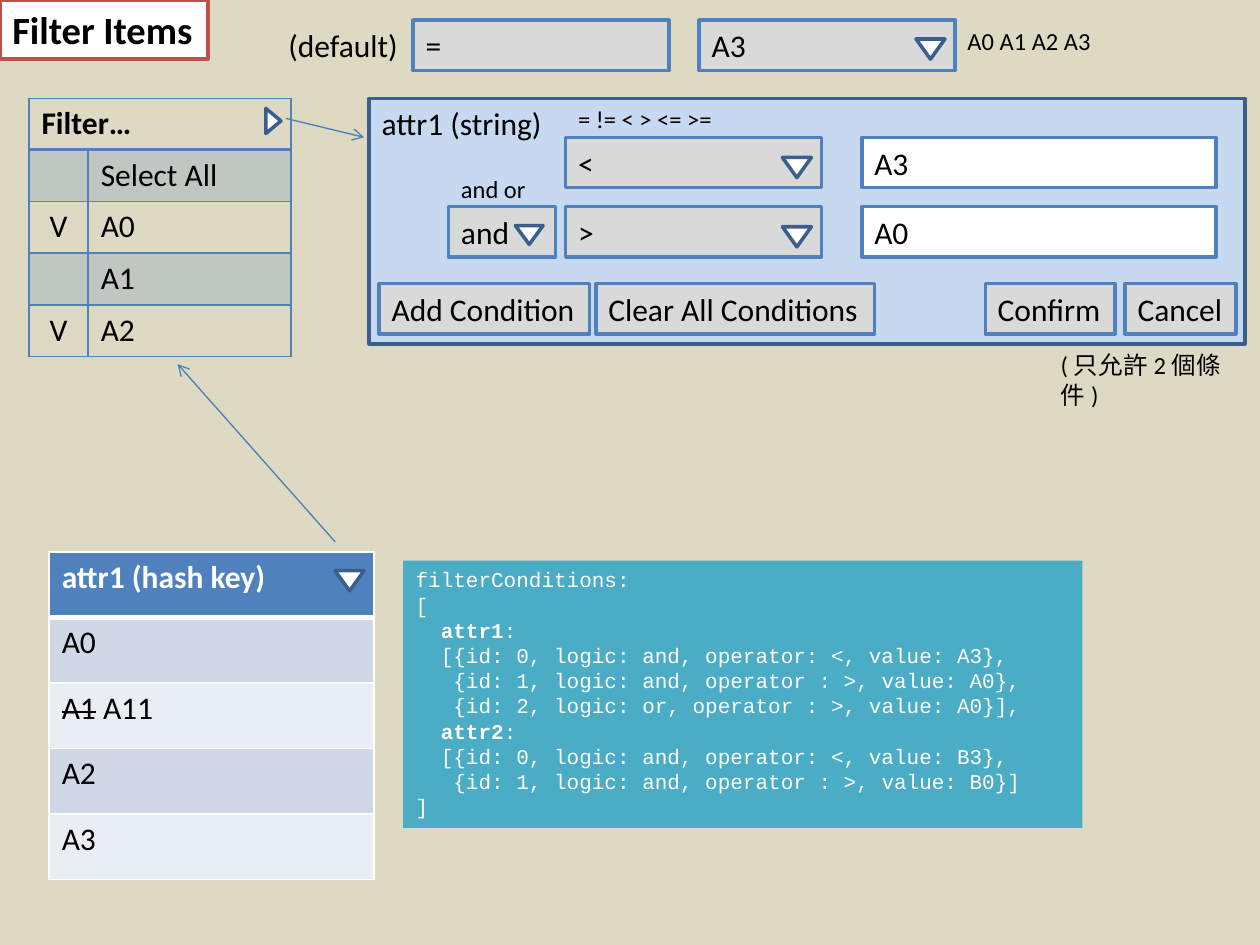
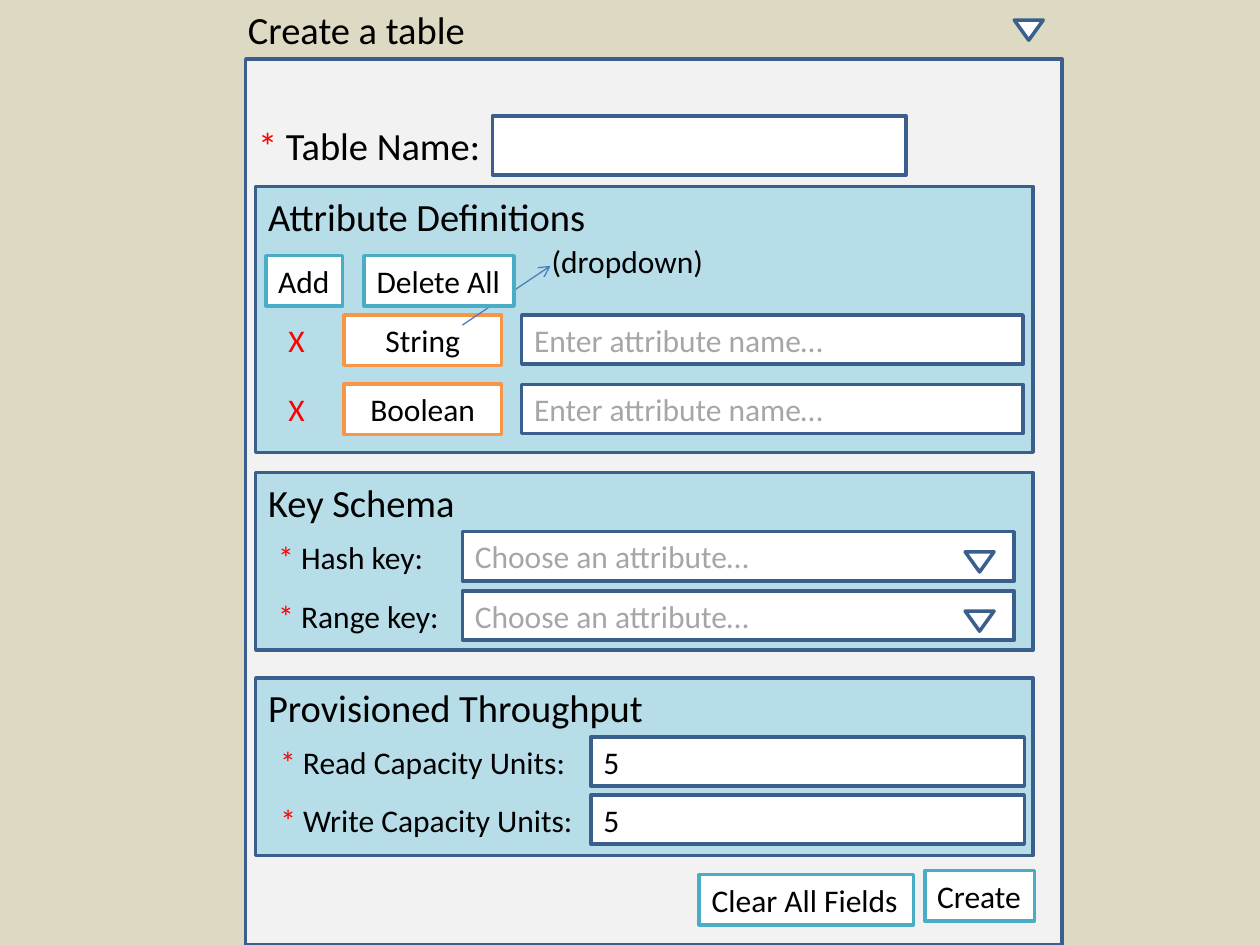
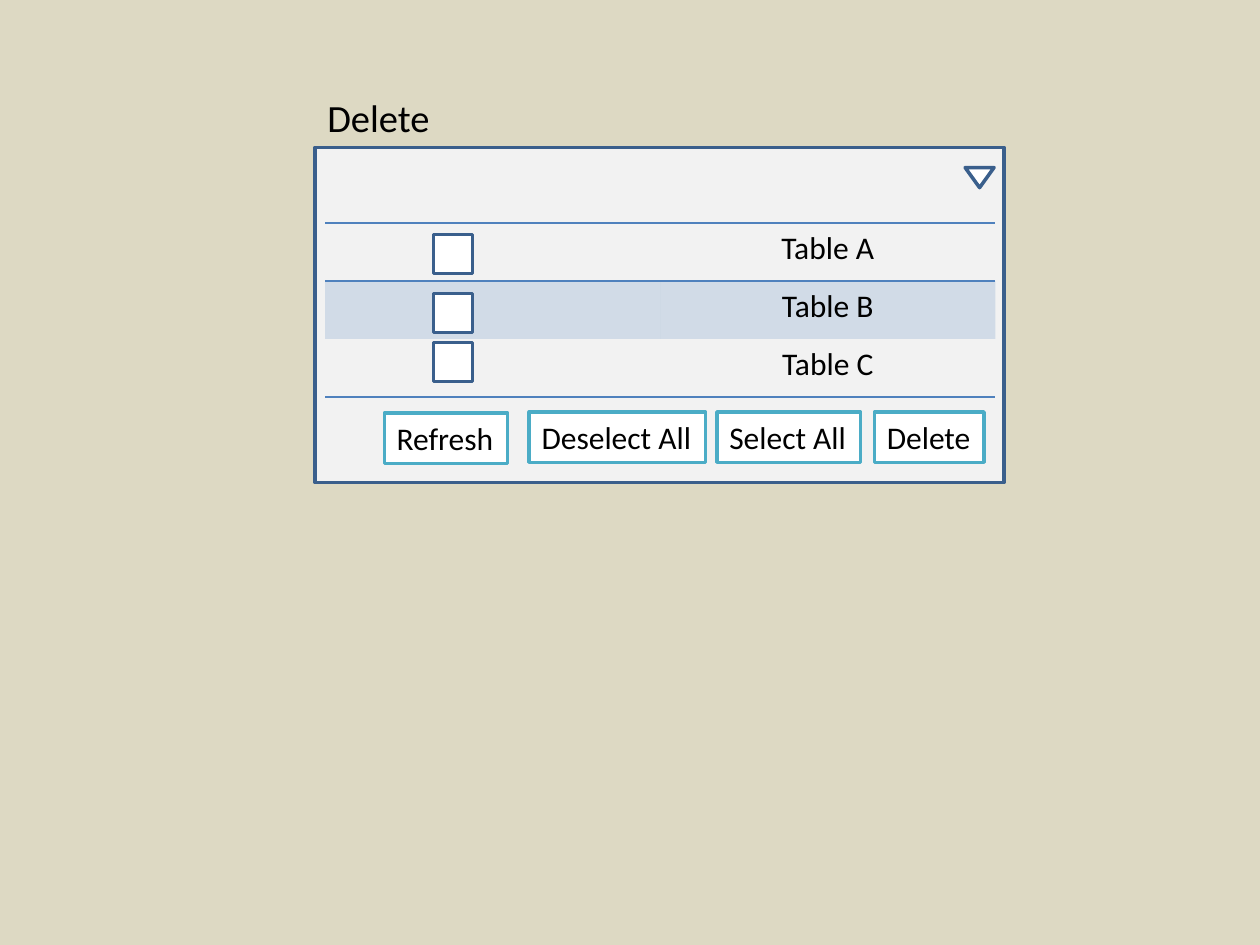
"""Build three wireframe slides: item filter, table creation and table deletion."""
from dataclasses import dataclass, replace
from typing import Optional, Sequence, Union

from lxml.etree import SubElement
from pptx import Presentation
from pptx.dml.color import RGBColor
from pptx.enum.shapes import MSO_CONNECTOR, MSO_SHAPE
from pptx.enum.text import MSO_ANCHOR, MSO_AUTO_SIZE, PP_ALIGN
from pptx.oxml import parse_xml
from pptx.oxml.ns import nsdecls, qn
from pptx.util import Inches, Pt

SAND = RGBColor(0xDD, 0xD9, 0xC3)
WHITE = RGBColor(0xFF, 0xFF, 0xFF)
BLACK = RGBColor(0, 0, 0)
RED = RGBColor(0xFF, 0, 0)
BRICK = RGBColor(0xC0, 0x50, 0x4D)
NAVY = RGBColor(0x3A, 0x5F, 0x8C)
BLUE = RGBColor(0x4F, 0x81, 0xBD)
ARROW_BLUE = RGBColor(0x4B, 0x7E, 0xBC)
PALE_BLUE = RGBColor(0xC6, 0xD9, 0xF1)
BAND_DARK = RGBColor(0xD0, 0xD8, 0xE8)
BAND_LIGHT = RGBColor(0xE9, 0xED, 0xF4)
TEAL = RGBColor(0x4B, 0xAC, 0xC6)
PALE_TEAL = RGBColor(0xB7, 0xDE, 0xE8)
ORANGE = RGBColor(0xF7, 0x96, 0x46)
SILVER = RGBColor(0xD9, 0xD9, 0xD9)
GREY = RGBColor(0xA6, 0xA6, 0xA6)
PAPER = RGBColor(0xF2, 0xF2, 0xF2)

HEADING, BODY, HINT = 22, 18, 14
FIELD_HEIGHT = 0.39
BUTTON_HEIGHT = 0.4
HEADING_HEIGHT = 0.47
CODE_CHARACTER = 0.1


@dataclass(frozen=True)
class Run:
    """A piece of text that differs from its paragraph."""
    text: str
    color: Optional[RGBColor] = None
    bold: Optional[bool] = None
    strike: bool = False


Text = Union[str, Sequence[Run]]


@dataclass(frozen=True)
class Style:
    """The look of a box and of its text."""
    fill: Optional[RGBColor] = None
    line: Optional[RGBColor] = None
    color: RGBColor = BLACK
    size: int = BODY
    font: str = "Calibri"
    bold: bool = False
    align: PP_ALIGN = PP_ALIGN.LEFT
    anchor: MSO_ANCHOR = MSO_ANCHOR.TOP
    wrap: bool = True
    grow: bool = True


@dataclass(frozen=True)
class Border:
    """One edge of a table cell."""
    color: RGBColor
    width: float = 1


@dataclass(frozen=True)
class Cell:
    """A table cell with edges in the order left, right, top, bottom."""
    text: Text = ""
    style: Style = Style()
    edges: Sequence[Optional[Border]] = (None,) * 4
    alpha: Optional[int] = None


LABEL = Style(wrap=False)
HEADING_LABEL = replace(LABEL, size=HEADING)
HINT_LABEL = replace(LABEL, size=HINT)
TITLE = replace(HEADING_LABEL, fill=WHITE, line=BRICK, bold=True)
WINDOW = Style(PAPER, NAVY)
SECTION = Style(PALE_TEAL, NAVY)
GREY_SELECT = Style(SILVER, BLUE, anchor=MSO_ANCHOR.MIDDLE)
GREY_BUTTON = replace(GREY_SELECT, wrap=False)
VALUE_FIELD = replace(GREY_SELECT, fill=WHITE)
FORM_FIELD = Style(WHITE, NAVY, anchor=MSO_ANCHOR.MIDDLE, grow=False)
PLACEHOLDER = replace(FORM_FIELD, color=GREY)
FORM_BUTTON = Style(WHITE, TEAL, wrap=False)
TYPE_FIELD = Style(WHITE, ORANGE, align=PP_ALIGN.CENTER)
CODE = Style(TEAL, color=WHITE, size=12, font="Courier New")
CENTERED = Style(align=PP_ALIGN.CENTER)


def write_paragraph(paragraph, text: Text, style: Style) -> None:
    """Fill a paragraph with styled text."""
    paragraph.alignment = style.align
    font = paragraph.font
    font.name, font.size, font.bold = style.font, Pt(style.size), style.bold
    font.color.rgb = style.color
    for piece in [Run(text)] if isinstance(text, str) else text:
        run = paragraph.add_run()
        run.text = piece.text
        if piece.color is not None:
            run.font.color.rgb = piece.color
        if piece.bold is not None:
            run.font.bold = piece.bold
        if piece.strike:
            run.font._element.set("strike", "sngStrike")


def format_frame(frame, style: Style) -> None:
    """Set the wrapping, anchor and fitting of a text frame."""
    frame.word_wrap = style.wrap
    frame.vertical_anchor = style.anchor
    frame.auto_size = MSO_AUTO_SIZE.SHAPE_TO_FIT_TEXT if style.grow else MSO_AUTO_SIZE.NONE


def add_box(slide, left: float, top: float, width: float, height: float,
            style: Style, text: Text = "", kind=MSO_SHAPE.RECTANGLE):
    """Draw a text box, or a filled shape when the style has a fill."""
    place = Inches(left), Inches(top), Inches(width), Inches(height)
    if style.fill is None:
        shape = slide.shapes.add_textbox(*place)
    else:
        shape = slide.shapes.add_shape(kind, *place)
        shape.shadow.inherit = False
        shape.fill.solid()
        shape.fill.fore_color.rgb = style.fill
        if style.line is None:
            shape.line.fill.background()
        else:
            shape.line.color.rgb = style.line
            shape.line.width = Pt(2)
    if text:
        format_frame(shape.text_frame, style)
        write_paragraph(shape.text_frame.paragraphs[0], text, style)
    return shape


def add_marker(slide, left: float, top: float, width: float = 0.23,
               height: float = 0.16, rotation: int = 0) -> None:
    """Draw a dropdown triangle."""
    marker = add_box(slide, left, top, width, height, Style(WHITE, NAVY),
                     kind=MSO_SHAPE.FLOWCHART_MERGE)
    marker.rotation = rotation


def add_arrow(slide, x1: float, y1: float, x2: float, y2: float) -> None:
    """Draw a thin line with an open arrowhead at its end."""
    arrow = slide.shapes.add_connector(
        MSO_CONNECTOR.STRAIGHT, Inches(x1), Inches(y1), Inches(x2), Inches(y2))
    arrow.line.color.rgb = ARROW_BLUE
    arrow.line.width = Pt(0.75)
    SubElement(arrow.line._get_or_add_ln(), qn("a:tailEnd"), type="arrow")
    SubElement(arrow._element.spPr, qn("a:effectLst"))


def format_cell(cell, content: Cell) -> None:
    """Apply the fill, edges and text of one table cell."""
    if content.style.fill is None:
        cell.fill.background()
    else:
        cell.fill.solid()
        cell.fill.fore_color.rgb = content.style.fill
    properties = cell._tc.get_or_add_tcPr()
    if content.alpha is not None:
        color = properties.find(".//" + qn("a:srgbClr"))
        SubElement(color, qn("a:alpha"), val=str(content.alpha * 1000))
    for index, (side, edge) in enumerate(zip("LRTB", content.edges)):
        paint = (f'<a:solidFill><a:srgbClr val="{edge.color}"/></a:solidFill>'
                 if edge else "<a:noFill/>")
        width = Pt(edge.width) if edge else 0
        properties.insert(index, parse_xml(
            f'<a:ln{side} {nsdecls("a")} w="{width}">{paint}</a:ln{side}>'))
    write_paragraph(cell.text_frame.paragraphs[0], content.text, content.style)


def add_grid(slide, left: float, top: float, widths: Sequence[float],
             row_height: float, rows: Sequence[Sequence[Cell]]):
    """Draw a table and return it."""
    frame = slide.shapes.add_table(
        len(rows), len(widths), Inches(left), Inches(top),
        Inches(sum(widths)), Inches(row_height * len(rows)))
    table = frame.table
    table.first_row = table.horz_banding = False
    for column, width in zip(table.columns, widths):
        column.width = Inches(width)
    for row_index, row in enumerate(rows):
        table.rows[row_index].height = Inches(row_height)
        for column_index, content in enumerate(row):
            format_cell(table.cell(row_index, column_index), content)
    return table


def required(label: str) -> Sequence[Run]:
    """Return a label led by a red asterisk."""
    return Run("* ", RED), Run(label)


def add_slide(presentation):
    """Add a blank slide with the shared background."""
    slide = presentation.slides.add_slide(presentation.slide_layouts[6])
    slide.background.fill.solid()
    slide.background.fill.fore_color.rgb = SAND
    return slide


def add_code(slide) -> None:
    """Draw the filter conditions listing."""
    lines = [
        (0, "filterConditions:"),
        (0, "["),
        (2, (Run("attr1", bold=True), Run(":"))),
        (2, "[{id: 0, logic: and, operator: <, value: A3},"),
        (3, "{id: 1, logic: and, operator : >, value: A0},"),
        (3, "{id: 2, logic: or, operator : >, value: A0}],"),
        (2, (Run("attr2", bold=True), Run(":"))),
        (2, "[{id: 0, logic: and, operator: <, value: B3},"),
        (3, "{id: 1, logic: and, operator : >, value: B0}]"),
        (0, "]"),
    ]
    frame = add_box(slide, 3.2, 4.45, 5.39, 2.12, CODE).text_frame
    format_frame(frame, CODE)
    for index, (indent, text) in enumerate(lines):
        paragraph = frame.add_paragraph() if index else frame.paragraphs[0]
        write_paragraph(paragraph, text, CODE)
        paragraph._p.get_or_add_pPr().set("marL", str(Inches(indent * CODE_CHARACTER)))


def add_attribute_table(slide) -> None:
    """Draw the banded table of attribute values."""
    thin, thick = Border(WHITE), Border(WHITE, 3)
    rows = [[Cell("attr1 (hash key)", Style(BLUE, color=WHITE, bold=True),
                  (thin, thin, thin, thick))]]
    values = ["A0", (Run("A1", strike=True), Run(" A11")), "A2", "A3"]
    for index, value in enumerate(values):
        fill = BAND_LIGHT if index % 2 else BAND_DARK
        edges = (thin, thin, thin if index else thick, thin)
        rows.append([Cell(value, Style(fill), edges)])
    add_grid(slide, 0.39, 4.38, [2.58], 0.52, rows)
    add_marker(slide, 2.66, 4.53)


def add_filter_menu(slide) -> None:
    """Draw the menu of values that can be ticked."""
    thin, thick = Border(BLUE), Border(BLUE, 2)
    header = Cell("Filter…", Style(bold=True), (thin, thin, thin, thick))
    rows = [[header, replace(header, text="")]]
    entries = [("", "Select All"), ("V", "A0"), ("", "A1"), ("V", "A2")]
    for index, (tick, name) in enumerate(entries):
        fill, alpha = (None, None) if index % 2 else (BLUE, 20)
        edges = (thin, thin, thin if index else thick, thin)
        rows.append([Cell(tick, replace(CENTERED, fill=fill), edges, alpha),
                     Cell(name, Style(fill), edges, alpha)])
    table = add_grid(slide, 0.23, 0.78, [0.47, 1.61], 0.41, rows)
    table.cell(0, 0).merge(table.cell(0, 1))


def build_filter_slide(presentation) -> None:
    """Build the slide with the filter menu and its conditions."""
    slide = add_slide(presentation)
    add_box(slide, 0, 0, 1.65, HEADING_HEIGHT, TITLE, "Filter Items")
    add_box(slide, 2.93, 0.78, 6.95, 1.95, Style(PALE_BLUE, NAVY))
    add_attribute_table(slide)
    add_arrow(slide, 2.27, 0.94, 2.89, 1.09)
    add_code(slide)

    add_box(slide, 2.93, 0.78, 1.55, 0.4, LABEL, "attr1 (string)")
    for top, operator, value in [(1.09, "<", "A3"), (1.64, ">", "A0")]:
        add_box(slide, 4.49, top, 2.03, BUTTON_HEIGHT, GREY_SELECT, operator)
        add_marker(slide, 6.21, top + 0.16)
        add_box(slide, 6.84, top, 2.81, BUTTON_HEIGHT, VALUE_FIELD, value)
    add_box(slide, 3.56, 1.64, 0.85, BUTTON_HEIGHT, GREY_SELECT, "and")
    add_marker(slide, 4.09, 1.79, 0.22, 0.15)

    buttons = [(3.01, 1.67, "Add Condition"), (4.73, 2.21, "Clear All Conditions"),
               (7.82, 1.03, "Confirm"), (8.93, 0.88, "Cancel")]
    for left, width, text in buttons:
        add_box(slide, left, 2.25, width, BUTTON_HEIGHT, GREY_BUTTON, text)

    add_box(slide, 2.19, 0.16, 1.08, 0.4, LABEL, "(default)")
    for left, text in [(3.28, "="), (5.55, "A3")]:
        add_box(slide, left, 0.16, 2.03, BUTTON_HEIGHT, GREY_SELECT, text)
    add_marker(slide, 7.27, 0.31)

    hints = [(4.49, 0.78, 1.27, "= != < > <= >="), (3.56, 1.33, 0.72, "and or"),
             (7.58, 0.16, 1.19, "A0 A1 A2 A3"), (8.32, 2.73, 1.6, "(只允許2個條件)")]
    for left, top, width, text in hints:
        add_box(slide, left, top, width, 0.34, HINT_LABEL, text)

    add_filter_menu(slide)
    add_arrow(slide, 2.66, 4.3, 1.41, 2.89)
    add_marker(slide, 2.07, 0.9, 0.2, 0.12, rotation=270)


def build_create_slide(presentation) -> None:
    """Build the slide with the table creation form."""
    slide = add_slide(presentation)
    add_box(slide, 1.95, 0.47, 6.48, 7.03, WINDOW)
    add_box(slide, 1.87, 0, 1.94, HEADING_HEIGHT, HEADING_LABEL, "Create a table")
    add_marker(slide, 8.05, 0.16)
    add_box(slide, 3.91, 0.92, 3.28, HEADING_HEIGHT, FORM_FIELD)
    add_box(slide, 1.95, 0.92, 1.99, HEADING_HEIGHT, HEADING_LABEL, required("Table Name:"))

    sections = [(1.48, 2.11, 2.76, "Attribute Definitions"), (3.75, 1.41, 1.7, "Key Schema"),
                (5.38, 1.41, 3.21, "Provisioned Throughput")]
    for top, height, width, text in sections:
        add_box(slide, 2.03, top, 6.17, height, SECTION)
        add_box(slide, 2.03, top, width, HEADING_HEIGHT, HEADING_LABEL, text)

    for top, data_type in [(2.5, "String"), (3.05, "Boolean")]:
        add_box(slide, 2.19, top, 0.33, 0.4, replace(LABEL, color=RED), "X")
        add_box(slide, 2.73, top, 1.25, BUTTON_HEIGHT, TYPE_FIELD, data_type)
        add_box(slide, 4.14, top, 3.98, FIELD_HEIGHT, PLACEHOLDER, "Enter attribute name…")

    for top, width, text in [(4.22, 1.37, "Hash key:"), (4.69, 1.49, "Range key:")]:
        add_box(slide, 2.11, top, width, 0.4, LABEL, required(text))
        add_box(slide, 3.67, top, 4.38, FIELD_HEIGHT, PLACEHOLDER, "Choose an attribute…")
        add_marker(slide, 7.66, top + 0.16)

    centered_label = replace(LABEL, align=PP_ALIGN.CENTER)
    for top, width, text in [(5.85, 2.49, "Read Capacity Units:"),
                             (6.31, 2.55, "Write Capacity Units:")]:
        add_box(slide, 2.11, top, width, 0.4, centered_label, required(text))
        add_box(slide, 4.69, top, 3.44, FIELD_HEIGHT, FORM_FIELD, "5")

    add_box(slide, 4.28, 1.87, 1.42, 0.4, LABEL, "(dropdown)")
    add_arrow(slide, 3.67, 2.58, 4.37, 2.11)
    buttons = [(2.11, 2.03, 0.61, "Add"), (2.89, 2.03, 1.19, "Delete All"),
               (5.55, 6.94, 1.7, "Clear All Fields"), (7.34, 6.91, 0.87, "Create")]
    for left, top, width, text in buttons:
        add_box(slide, left, top, width, BUTTON_HEIGHT, FORM_BUTTON, text)


def build_delete_slide(presentation) -> None:
    """Build the slide with the table deletion dialog."""
    slide = add_slide(presentation)
    add_box(slide, 2.5, 0.7, 1.02, HEADING_HEIGHT, HEADING_LABEL, "Delete")
    add_box(slide, 2.5, 1.17, 5.47, 2.66, WINDOW)
    add_marker(slide, 7.66, 1.33)

    rule = Border(BLUE)
    bands = [("Table A", None, None, (None, None, rule, rule)),
             ("Table B", BLUE, 20, (None, None, rule, None)),
             ("Table C", None, None, (None, None, None, rule))]
    rows = [[Cell(text, replace(CENTERED, fill=fill), edges, alpha) for text in ("", name)]
            for name, fill, alpha, edges in bands]
    add_grid(slide, 2.58, 1.77, [2.66, 2.66], 0.46, rows)
    for top in (1.86, 2.33, 2.72):
        add_box(slide, 3.44, top, 0.31, 0.31, FORM_FIELD)

    buttons = [(3.05, 3.28, 0.98, "Refresh"), (4.2, 3.27, 1.4, "Deselect All"),
               (5.69, 3.27, 1.14, "Select All"), (6.94, 3.27, 0.87, "Delete")]
    for left, top, width, text in buttons:
        add_box(slide, left, top, width, BUTTON_HEIGHT, FORM_BUTTON, text)


def main() -> None:
    """Build and save the presentation."""
    presentation = Presentation()
    presentation.slide_width, presentation.slide_height = Inches(10), Inches(7.5)
    build_filter_slide(presentation)
    build_create_slide(presentation)
    build_delete_slide(presentation)
    presentation.save("out.pptx")


main()
